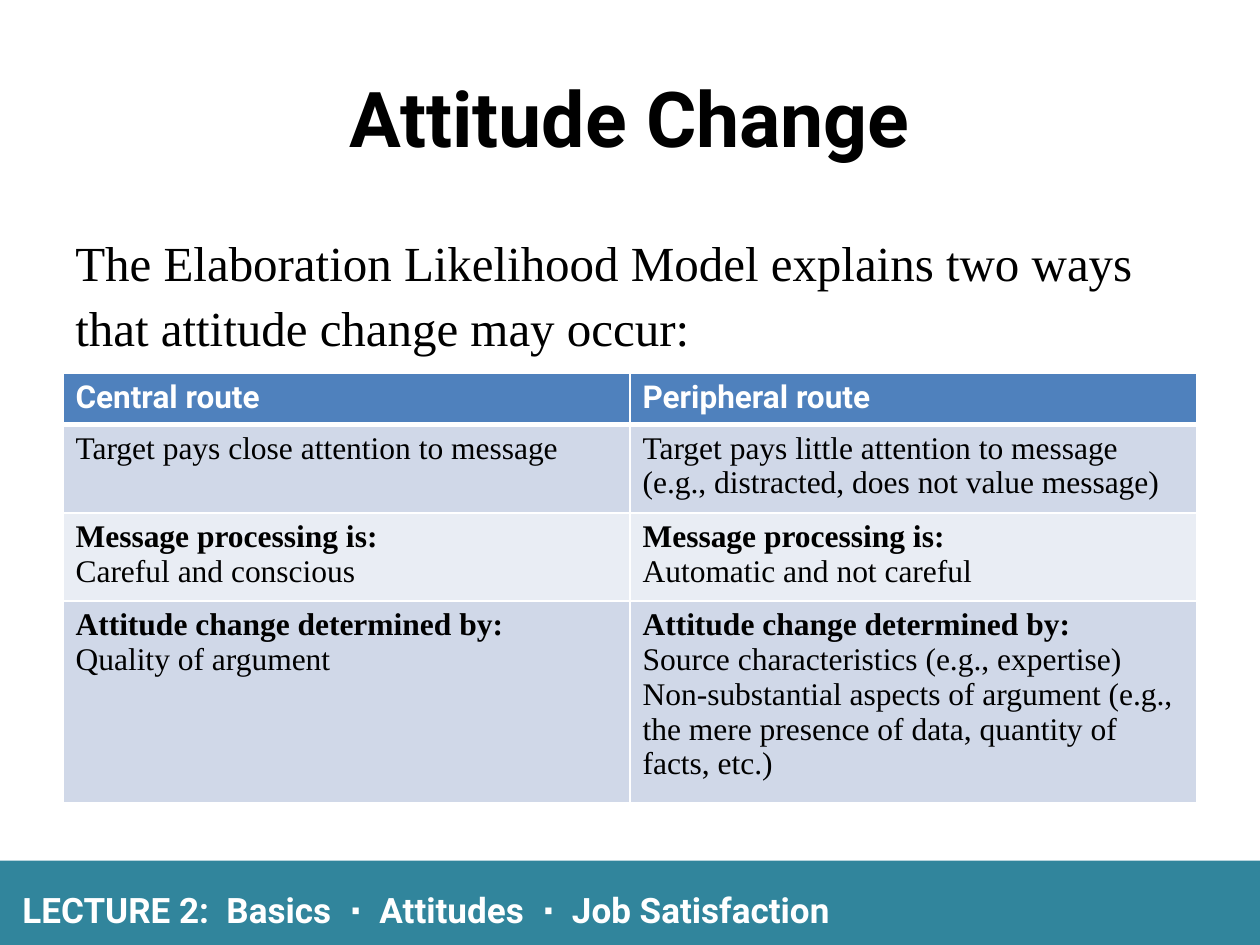
from lxml.etree import SubElement
from pptx import Presentation
from pptx.dml.color import RGBColor
from pptx.enum.shapes import MSO_SHAPE as Shape
from pptx.enum.text import MSO_ANCHOR as Anchor, PP_ALIGN as Align
from pptx.oxml.ns import qn
from pptx.util import Inches, Pt

COLORS = {
    "black": "000000",
    "white": "FFFFFF",
    "footer": "31859C",
    "header": "4F81BD",
    "band_dark": "D0D8E8",
    "band_light": "E9EDF4",
}
HEADING, BODY = "Roboto", "Times New Roman"


def color(name):
    return RGBColor.from_string(COLORS[name])


def write(frame, *lines, size=18, font=BODY, ink="black", bold_lines=0,
          align=Align.LEFT, spacing=None):
    for index, line in enumerate(lines):
        paragraph = frame.add_paragraph() if index else frame.paragraphs[0]
        paragraph.alignment = align
        if spacing:
            paragraph.line_spacing = spacing
        run = paragraph.add_run()
        run.text = line
        run.font.size = Pt(size)
        run.font.name = font
        run.font.bold = index < bold_lines
        run.font.color.rgb = color(ink)


class LectureSlide:
    def __init__(self, deck):
        self.shapes = deck.slides.add_slide(deck.slide_layouts[6]).shapes

    def bar(self, left, top, width, height, fill):
        bar = self.shapes.add_shape(Shape.RECTANGLE, *map(Inches, (left, top, width, height)))
        bar.shadow.inherit = False
        bar.fill.solid()
        bar.fill.fore_color.rgb = color(fill)
        bar.line.fill.background()

    def text(self, left, top, width, height, *lines, anchor=Anchor.TOP, **style):
        frame = self.shapes.add_textbox(*map(Inches, (left, top, width, height))).text_frame
        frame.word_wrap = True
        frame.vertical_anchor = anchor
        write(frame, *lines, **style)

    def border(self, cell, **widths):
        properties = cell._tc.get_or_add_tcPr()
        for side in "LRTB":
            line = SubElement(properties, qn(f"a:ln{side}"), w=str(Pt(widths.get(side, 1))))
            fill = SubElement(line, qn("a:solidFill"))
            SubElement(fill, qn("a:srgbClr"), val=COLORS["white"])

    def table(self, left, top, width, heights, rows):
        table = self.shapes.add_table(
            len(rows), len(rows[0]), *map(Inches, (left, top, width, sum(heights)))).table
        for r, (height, row) in enumerate(zip(heights, rows)):
            table.rows[r].height = Inches(height)
            for c, lines in enumerate(row):
                cell = table.cell(r, c)
                self.border(cell, T=3 if r == 1 else 1, B=1 if r else 3)
                cell.fill.solid()
                if r == 0:
                    cell.fill.fore_color.rgb = color("header")
                    write(cell.text_frame, *lines, font=HEADING, ink="white", bold_lines=1)
                else:
                    cell.fill.fore_color.rgb = color("band_dark" if r % 2 else "band_light")
                    write(cell.text_frame, *lines, bold_lines=int(len(lines) > 1))


PROCESSING = "Message processing is:"
DETERMINED = "Attitude change determined by:"
ROUTES = [
    [["Central route"], ["Peripheral route"]],
    [["Target pays close attention to message"],
     ["Target pays little attention to message (e.g., distracted, does not value message)"]],
    [[PROCESSING, "Careful and conscious"], [PROCESSING, "Automatic and not careful"]],
    [[DETERMINED, "Quality of argument"],
     [DETERMINED, "Source characteristics (e.g., expertise)",
      "Non-substantial aspects of argument (e.g., the mere presence of data, "
      "quantity of facts, etc.)"]],
]

deck = Presentation()
deck.slide_width, deck.slide_height = Inches(10), Inches(7.5)
slide = LectureSlide(deck)
slide.bar(0, 6.83, 10, 0.67, "footer")
slide.text(0.5, 0.3, 9, 1.25, "Attitude Change", anchor=Anchor.MIDDLE,
           size=44, font=HEADING, bold_lines=1, align=Align.CENTER)
slide.text(0.5, 1.75, 9, 4.95,
           "The Elaboration Likelihood Model explains two ways that attitude change may occur:",
           size=28, spacing=1.1)
slide.table(0.5, 2.96, 9, [0.41, 0.65, 0.65, 1.48], ROUTES)
slide.text(0.08, 7, 9.83, 0.44, "LECTURE 2:  Basics  ∙  Attitudes  ∙  Job Satisfaction",
           size=20, font=HEADING, ink="white", bold_lines=1)
deck.save("out.pptx")
